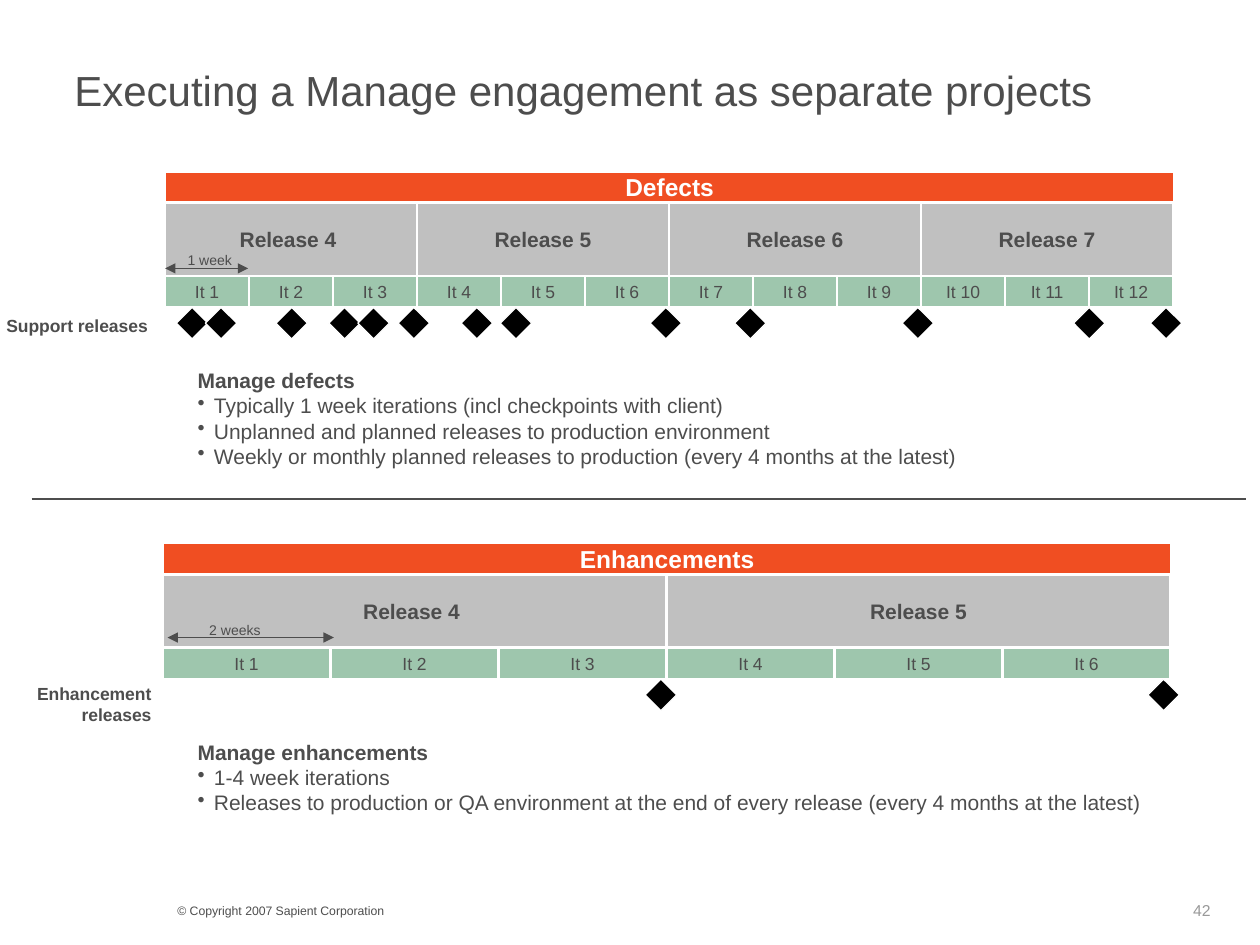
from lxml.etree import SubElement as Sub
from pptx import Presentation
from pptx.dml.color import RGBColor
from pptx.enum.shapes import MSO_CONNECTOR as Link, MSO_SHAPE as Kind
from pptx.enum.text import MSO_ANCHOR as Anchor, MSO_AUTO_SIZE as Auto, PP_ALIGN as Align
from pptx.oxml.ns import qn
from pptx.util import Inches, Pt

INK, WHITE, BLACK = "4D4D4D", "FFFFFF", "000000"
ORANGE, GREY, GREEN = "F04E22", "C0C0C0", "9EC6AD"
WIDTH = 8


def color(code):
    return RGBColor.from_string(code)


def write(frame, text, size=12, ink=INK, bold=False, align=Align.LEFT,
          anchor=Anchor.TOP, side=0.1, edge=0.05, wrap=True, bullets=False):
    frame.auto_size = Auto.NONE
    frame.word_wrap = wrap
    frame.vertical_anchor = anchor
    frame.margin_left = frame.margin_right = Inches(side)
    frame.margin_top = frame.margin_bottom = Inches(edge)
    for i, line in enumerate(text.split("\n")):
        para = frame.paragraphs[0] if i == 0 else frame.add_paragraph()
        para.alignment = align
        if bullets and i:
            bullet(para, ink)
        run = para.add_run()
        run.text = line
        font = run.font
        font.name, font.size = "Arial", Pt(size)
        font.bold = i == 0 if bullets else bold
        font.color.rgb = color(ink)


def bullet(para, ink):
    props = para._p.get_or_add_pPr()
    props.set("marL", str(Inches(0.13)))
    props.set("indent", str(-Inches(0.13)))
    Sub(Sub(props, qn("a:buClr")), qn("a:srgbClr")).set("val", ink)
    Sub(props, qn("a:buChar")).set("char", "•")


def label(slide, text, x, y, w, h, **style):
    box = slide.shapes.add_textbox(Inches(x), Inches(y), Inches(w), Inches(h))
    write(box.text_frame, text, **style)


def block(slide, x, y, w, h, fill, kind=Kind.RECTANGLE, edge=1.5):
    shape = slide.shapes.add_shape(kind, Inches(x), Inches(y), Inches(w), Inches(h))
    shape.shadow.inherit = False
    shape.fill.solid()
    shape.fill.fore_color.rgb = color(fill)
    shape.line.color.rgb = color(WHITE)
    shape.line.width = Pt(edge)
    return shape


def cell(slide, text, x, y, w, h, fill, **style):
    shape = block(slide, x, y, w, h, fill)
    write(shape.text_frame, text, align=Align.CENTER, anchor=Anchor.MIDDLE, **style)


def rule(slide, start, end, y, arrows=False):
    line = slide.shapes.add_connector(
        Link.STRAIGHT, Inches(start), Inches(y), Inches(end), Inches(y))
    line.line.color.rgb = color(INK)
    line.line.width = Pt(0.75)
    if arrows:
        stroke = line.line._get_or_add_ln()
        for end_tag in ("a:headEnd", "a:tailEnd"):
            Sub(stroke, qn(end_tag)).set("type", "triangle")
    Sub(line._element.spPr, qn("a:effectLst"))


def plan(slide, name, left, top, releases, count, marks):
    span, step = WIDTH / len(releases), WIDTH / count
    for i, text in enumerate(releases):
        cell(slide, text, left + i * span, top + 0.25, span, 0.58, GREY, bold=True)
    cell(slide, name, left, top, WIDTH + 0.01, 0.25, ORANGE,
         size=14, ink=WHITE, bold=True)
    for i in range(count):
        cell(slide, f"It {i + 1}", left + i * step, top + 0.83, step, 0.25, GREEN,
             size=10, side=0)
    for x in marks:
        block(slide, x, top + 1.08, 0.25, 0.25, BLACK, Kind.DIAMOND, 0.75)


def main():
    deck = Presentation()
    deck.slide_width, deck.slide_height = Inches(10), Inches(7.5)
    slide = deck.slides.add_slide(deck.slide_layouts[5])

    title = slide.shapes.title
    title.left, title.top = Inches(0.49), Inches(0.44)
    title.width, title.height = Inches(9.01), Inches(0.55)
    write(title.text_frame, "Executing a Manage engagement as separate projects",
          size=24, anchor=Anchor.MIDDLE)

    plan(slide, "Defects", 1.31, 1.36,
         ["Release 4 ", "Release 5", "Release 6", "Release 7"], 12,
         [1.4, 1.63, 2.19, 2.61, 2.84, 3.16, 3.66, 3.97, 5.16, 5.83, 7.16, 8.52, 9.13])
    plan(slide, "Enhancements", 1.29, 4.31, ["Release 4 ", "Release 5"], 6,
         [5.12, 9.11])

    side = dict(size=10, bold=True, align=Align.RIGHT, wrap=False)
    label(slide, "Support releases ", -0.05, 2.45, 1.36, 0.27, **side)
    label(slide, "Enhancement\nreleases", 0.2, 5.37, 1.1, 0.44, **side)

    time = dict(size=8, align=Align.CENTER, wrap=False)
    rule(slide, 1.31, 1.97, 2.13, arrows=True)
    label(slide, "1 week", 1.39, 1.95, 0.55, 0.24, **time)
    rule(slide, 1.33, 2.65, 5.06, arrows=True)
    label(slide, "2 weeks", 1.56, 4.88, 0.61, 0.24, **time)

    label(slide, "Manage defects\n"
          "Typically 1 week iterations (incl checkpoints with client)\n"
          "Unplanned and planned releases to production environment\n"
          "Weekly or monthly planned releases to production (every 4 months at the latest)",
          1.47, 2.87, 7.56, 0.9, bullets=True)
    label(slide, "Manage enhancements\n"
          "1-4 week iterations\n"
          "Releases to production or QA environment at the end of every release "
          "(every 4 months at the latest)",
          1.47, 5.82, 8.1, 0.7, bullets=True)
    rule(slide, 0.25, 9.89, 3.96)

    label(slide, "© Copyright 2007 Sapient Corporation", 1.31, 7.12, 4, 0.22, size=7)
    label(slide, "42", 9.38, 7.11, 0.75, 0.24, size=9, ink="999999",
          side=0.09, edge=0.04)
    deck.save("out.pptx")


if __name__ == "__main__":
    main()
